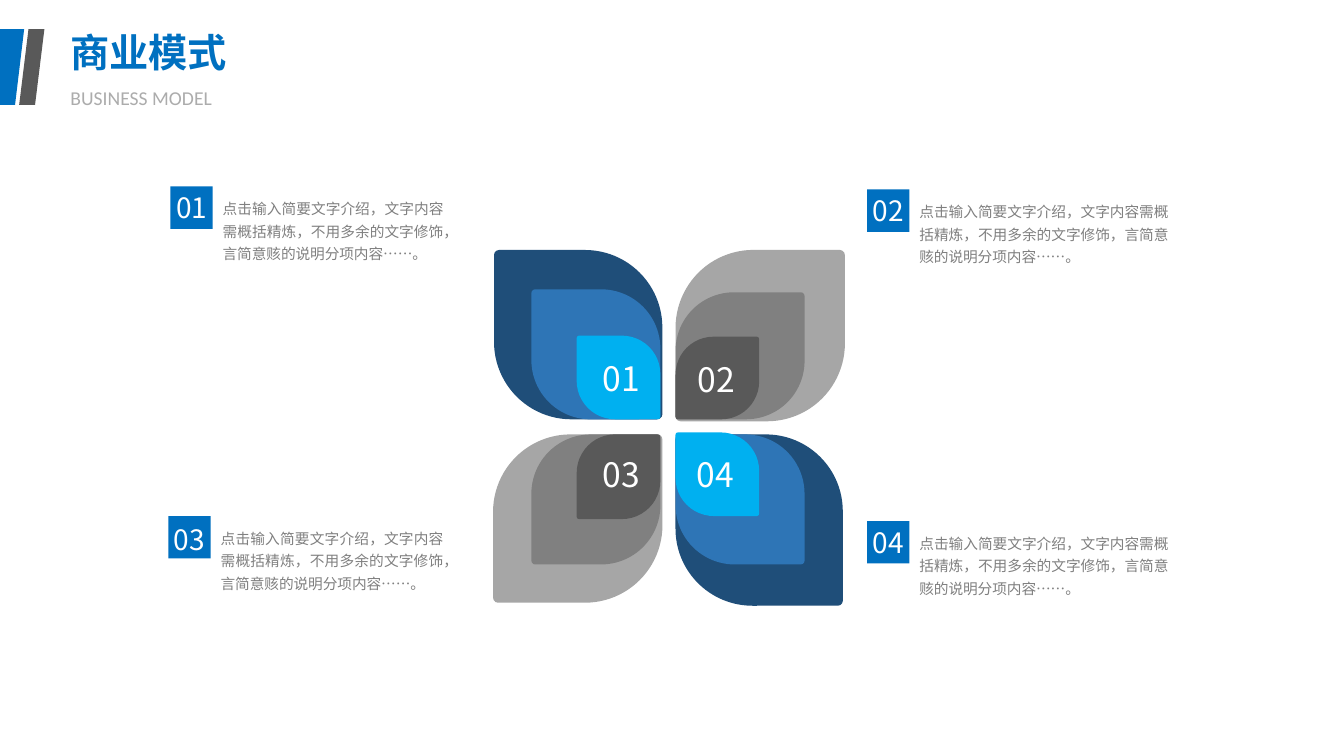
from lxml import etree
from pptx import Presentation
from pptx import util as u
from pptx.dml.color import RGBColor
from pptx.enum import shapes, text
from pptx.oxml.ns import qn

PX = 9144  # 100 px to the inch
CJK = "Noto Sans CJK SC"
BLUE, DARK, WHITE = "0070C0", "595959", "FFFFFF"
BLUES = ("1F4E79", "2E75B6", "00B0F0")
GREYS = ("A6A6A6", "808080", DARK)
LARGE, SMALL = 0.46, 0.03  # corner radii as a share of the petal's side
INTRO = "点击输入简要文字介绍，文字内容需概括精炼，不用多余的文字修饰，言简意赅的说明分项内容……。"

# number, layer colours, small corners at top left, layer boxes, number box
PETALS = [
    ("01", BLUES, True,
     [(490, 248, 167, 168), (527, 287, 128, 129), (572, 333, 83, 83)], (588, 350, 64, 54)),
    ("02", GREYS, False,
     [(670, 248, 168, 170), (670, 290, 128, 126), (670, 334, 83, 82)], (682, 351, 60, 50)),
    ("03", GREYS, False,
     [(489, 431, 168, 167), (527, 431, 128, 129), (572, 431, 83, 84)], (588, 445, 60, 50)),
    ("04", BLUES, True,
     [(670, 431, 166, 170), (670, 431, 128, 129), (670, 429, 83, 83)], (681, 445, 60, 50)),
]

# number, badge left, badge top, top of the number, width of the description
ITEMS = [
    ("01", 169, 185, 184, 239),
    ("02", 860, 188, 187, 267),
    ("03", 167, 512, 513, 241),
    ("04", 860, 517, 516, 267),
]


def color(value):
    return RGBColor.from_string(value)


def emu(box):
    """Turn a box of px lengths into EMU."""
    return [u.Emu(length * PX) for length in box]


def add_block(page, kind, box, fill, adjustments=()):
    block = page.shapes.add_shape(kind, *emu(box))
    block.shadow.inherit = False
    block.fill.solid()
    block.fill.fore_color.rgb = color(fill)
    block.line.fill.background()
    for index, value in enumerate(adjustments):
        block.adjustments[index] = value


def add_label(page, box, words, fill, font, align=None, spacing=None, wrap=True):
    """Add a one-paragraph text box; font is a dict of font attributes."""
    frame = page.shapes.add_textbox(*emu(box)).text_frame
    frame.word_wrap = wrap
    frame.auto_size = text.MSO_AUTO_SIZE.SHAPE_TO_FIT_TEXT
    para = frame.paragraphs[0]
    for name, value in {"alignment": align, "line_spacing": spacing}.items():
        setattr(para, name, value)
    span = para.add_run()
    span.text = words
    for name, value in font.items():
        setattr(span.font, name, value)
    span.font.color.rgb = color(fill)
    east_asian = etree.SubElement(span.font._element, qn("a:ea"))
    east_asian.set("typeface", font["name"])


def add_petal(page, number, colors, small_first, layers, number_box):
    radii = (SMALL, LARGE) if small_first else (LARGE, SMALL)
    for box, fill in zip(layers, colors):
        add_block(page, shapes.MSO_SHAPE.ROUND_2_DIAG_RECTANGLE, box, fill, radii)
    add_label(page, number_box, number, WHITE, {"name": CJK, "size": u.Pt(24)}, wrap=False)


def add_item(page, number, left, top, number_top, width):
    side = 42
    add_label(page, (left + side, top + 4, width, 77), INTRO, "808080",
              {"name": CJK, "size": u.Pt(10.5)}, text.PP_ALIGN.JUSTIFY, u.Pt(16))
    add_block(page, shapes.MSO_SHAPE.RECTANGLE, (left, top, side, side), BLUE)
    add_label(page, (left - 20, number_top, 82, 44), number, WHITE,
              {"name": CJK, "size": u.Pt(20)}, text.PP_ALIGN.CENTER)


def add_heading(page):
    add_label(page, (60, 23, 226, 57), "商业模式", BLUE,
              {"name": CJK, "size": u.Pt(28), "bold": True}, text.PP_ALIGN.JUSTIFY)
    slanted = shapes.MSO_SHAPE.PARALLELOGRAM
    add_block(page, slanted, (-12, 29, 36, 75), BLUE, [0.25])
    add_block(page, slanted, (19, 29, 25, 75), DARK, [0.37])
    add_label(page, (60, 80, 174, 34), "BUSINESS MODEL", "ACACAC",
              {"name": "Calibri", "size": u.Pt(14)}, text.PP_ALIGN.JUSTIFY)


def main():
    deck = Presentation()
    deck.slide_width, deck.slide_height = emu((1333, 750))
    page = deck.slides.add_slide(deck.slide_layouts[6])
    for petal in PETALS:
        add_petal(page, *petal)
    for item in ITEMS:
        add_item(page, *item)
    add_heading(page)
    deck.save("out.pptx")


if __name__ == "__main__":
    main()
